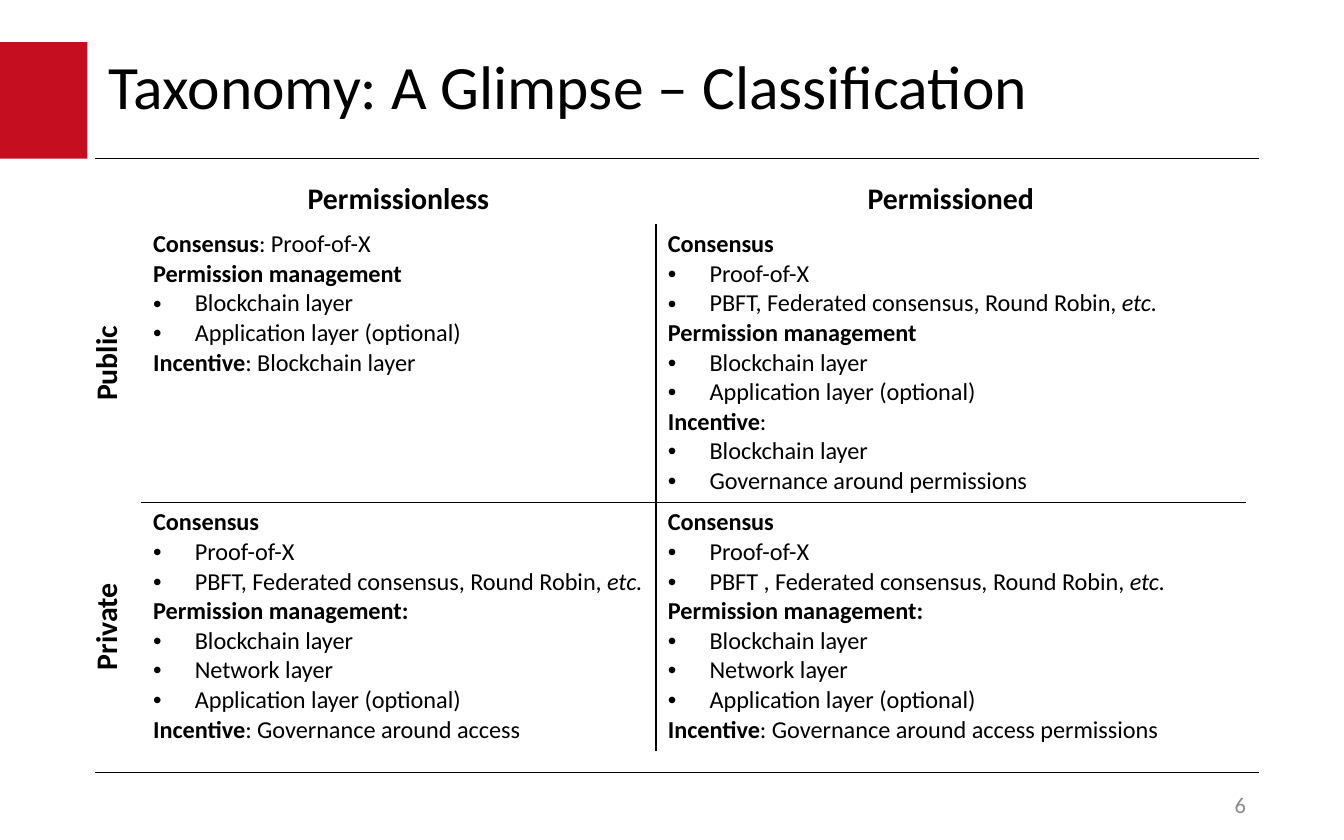
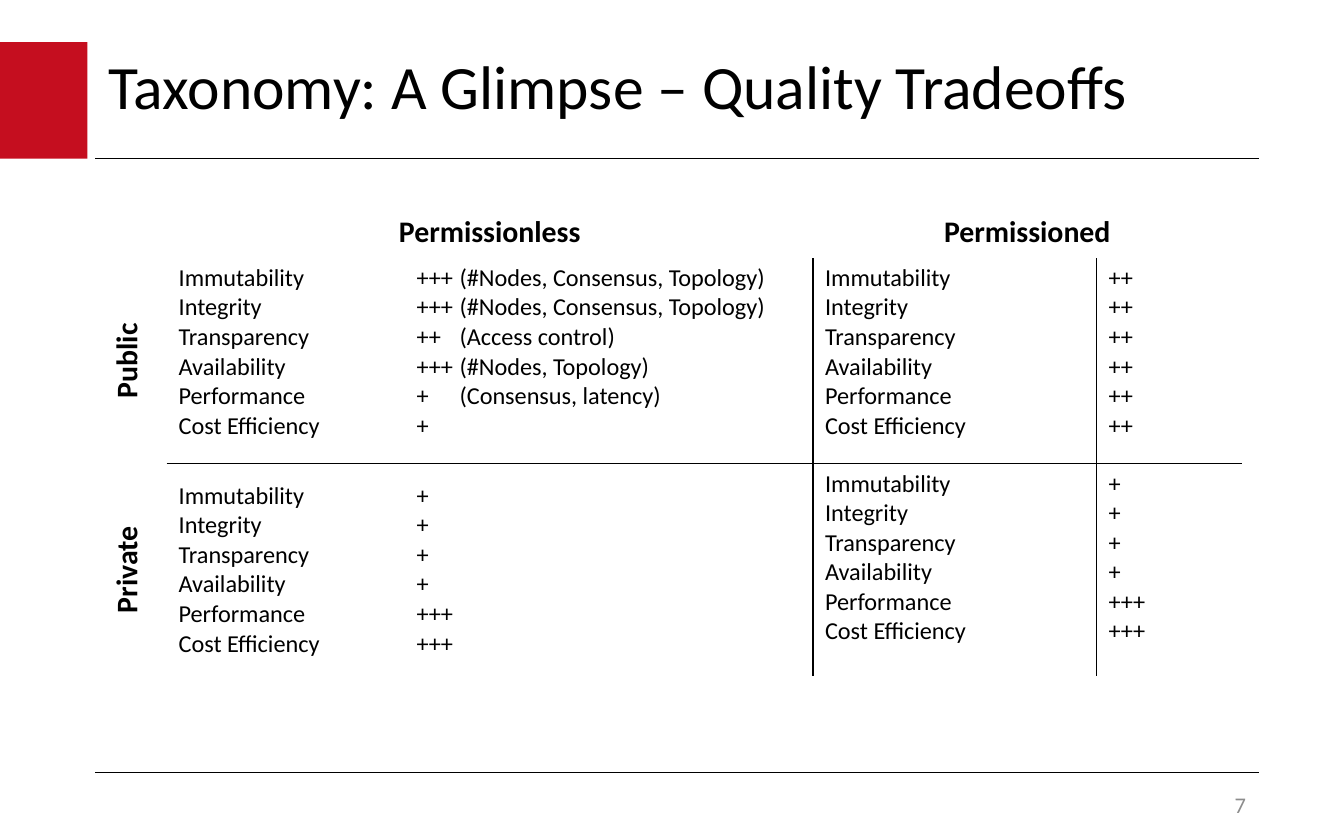
from lxml.etree import SubElement
from pptx import Presentation
from pptx.dml.color import RGBColor
from pptx.enum.shapes import MSO_CONNECTOR as Connector, MSO_SHAPE as Shape
from pptx.enum.text import MSO_ANCHOR as Anchor, PP_ALIGN as Align
from pptx.oxml.ns import qn
from pptx.util import Inches, Pt

WIDTH, HEIGHT = 10, 6.25
FONT = "Calibri"
COLORS = {"accent": "C50E1F", "ink": "000000", "page_number": "8C8C8C"}
TITLE_SIZE, HEADER_SIZE, BODY_SIZE, NUMBER_SIZE = 33, 16, 13, 12
LEFT, RIGHT = 7.1, 93.7         # content edges, percent of the width
TOP, TITLE_RULE, FOOTER_RULE = 5, 18.88, 92     # percent of the height
INDENT, SCORE_TAB = 3.1, 3.2    # percent of the width

HEADERS = ("Permissionless", "Permissioned")
ACCESS = ("Public", "Private")
QUALITIES = ("Immutability", "Integrity", "Transparency",
             "Availability", "Performance", "Cost Efficiency")


# Lengths as percentages of the slide
def across(percent):
    return Inches(WIDTH * percent / 100)


def down(percent):
    return Inches(HEIGHT * percent / 100)


def color(name):
    return RGBColor.from_string(COLORS[name])


# Text
def add_span(para, text, size, ink="ink", bold=False, italic=False):
    span = para.add_run()
    span.text = text
    font = span.font
    font.name, font.size, font.bold, font.italic = FONT, Pt(size), bold, italic
    font.color.rgb = color(ink)


def add_label(page, text, area, size, ink="ink", align=Align.LEFT):
    left, top, width, height = area
    box = page.shapes.add_textbox(across(left), down(top), across(width), down(height))
    frame = box.text_frame
    frame.word_wrap = True
    frame.vertical_anchor = Anchor.MIDDLE
    para = frame.paragraphs[0]
    para.alignment = align
    para.line_spacing = 0.9
    add_span(para, text, size, ink)


def make_bullet(para):
    props = para._p.get_or_add_pPr()
    props.set("marL", str(across(INDENT)))
    props.set("indent", str(-across(INDENT)))
    SubElement(props, qn("a:buFont"), typeface="Arial")
    SubElement(props, qn("a:buChar"), char="•")


def add_tab_stop(para):
    tabs = SubElement(para._p.get_or_add_pPr(), qn("a:tabLst"))
    SubElement(tabs, qn("a:tab"), pos=str(across(SCORE_TAB)), algn="l")


# Frame shared by the slides
def add_rule(page, height):
    rule = page.shapes.add_connector(Connector.STRAIGHT, across(LEFT), down(height),
                                     across(RIGHT), down(height))
    rule.line.color.rgb = color("ink")
    rule.line.width = Pt(0.75)
    SubElement(rule._element.spPr, qn("a:effectLst"))


def add_page(deck, title, number):
    page = deck.slides.add_slide(deck.slide_layouts[6])
    band = page.shapes.add_shape(Shape.RECTANGLE, 0, down(TOP), across(6.5),
                                 down(TITLE_RULE - TOP))
    band.shadow.inherit = False
    band.fill.solid()
    band.fill.fore_color.rgb = color("accent")
    band.line.fill.background()
    for height in (TITLE_RULE, FOOTER_RULE):
        add_rule(page, height)
    add_label(page, title, (LEFT, TOP, RIGHT - LEFT, 11.36), TITLE_SIZE)
    add_label(page, str(number), (73.4, 93.92, RIGHT - 73.4, 4), NUMBER_SIZE,
              "page_number", Align.RIGHT)
    return page


# Matrix tables
def draw_edge(cell, side, visible):
    props = cell._tc.get_or_add_tcPr()
    edge = SubElement(props, qn("a:ln" + side), w=str(Pt(1)))
    if visible:
        fill = SubElement(edge, qn("a:solidFill"))
        SubElement(fill, qn("a:srgbClr"), val=COLORS["ink"])
    else:
        SubElement(edge, qn("a:noFill"))


def add_matrix(page, left, top, columns, rows, dividers):
    """Empty table, with vertical rules after the columns in dividers
    and one horizontal rule between the two body rows."""
    table = page.shapes.add_table(len(rows), len(columns), across(left), down(top),
                                  across(sum(columns)), down(sum(rows))).table
    table.first_row = table.horz_banding = False
    for column, width in zip(table.columns, columns):
        column.width = across(width)
    for row, height in zip(table.rows, rows):
        row.height = down(height)
    for r in range(len(rows)):
        for c in range(len(columns)):
            cell = table.cell(r, c)
            cell.margin_left = cell.margin_right = Inches(0.09)
            cell.margin_top = cell.margin_bottom = Inches(0.04)
            draw_edge(cell, "L", r > 0 and c - 1 in dividers)
            draw_edge(cell, "R", r > 0 and c in dividers)
            draw_edge(cell, "T", r == 2 and c > 0)
            draw_edge(cell, "B", r == 1 and c > 0)
            cell.fill.background()
            if r == 0:
                SubElement(cell.text_frame.paragraphs[0]._p, qn("a:endParaRPr"),
                           sz=str(HEADER_SIZE * 100))
    return table


def write_header(cell, text, upright=False):
    para = cell.text_frame.paragraphs[0]
    para.alignment = Align.CENTER
    add_span(para, text, HEADER_SIZE, bold=True)
    if upright:
        cell._tc.get_or_add_tcPr().set("vert", "vert270")


def write_row_headers(table):
    for r, access in enumerate(ACCESS, 1):
        write_header(table.cell(r, 0), access, upright=True)


def cell_paragraphs(cell, count):
    frame = cell.text_frame
    for _ in range(count - 1):
        frame.add_paragraph()
    return frame.paragraphs


def write_topics(cell, topics):
    """Each topic is a bold label, the plain text after it and its bullets."""
    lines = []
    for label, plain, points in topics:
        lines.append((False, label, plain))
        lines += [(True, *point) for point in points]
    for para, (bulleted, first, second) in zip(cell_paragraphs(cell, len(lines)), lines):
        if bulleted:
            make_bullet(para)
        add_span(para, first, BODY_SIZE, bold=not bulleted)
        if second:
            add_span(para, second, BODY_SIZE, italic=bulleted)


def write_lines(cell, lines):
    for para, line in zip(cell_paragraphs(cell, len(lines)), lines):
        if "\t" in line:
            add_tab_stop(para)
        add_span(para, line, BODY_SIZE)


# Content of the classification
def layers(*names):
    return [(name, "") for name in names]


CHAIN, NETWORK = "Blockchain layer", "Network layer"
APPLICATION = "Application layer (optional)"
PROTOCOLS = "PBFT, Federated consensus, Round Robin, "


def consensus(protocols=PROTOCOLS):
    return "Consensus", "", [("Proof-of-X", ""), (protocols, "etc.")]


PUBLIC_MANAGEMENT = ("Permission management", "", layers(CHAIN, APPLICATION))
PRIVATE_MANAGEMENT = ("Permission management:", "", layers(CHAIN, NETWORK, APPLICATION))
CLASSIFICATION = (
    ([("Consensus", ": Proof-of-X", []), PUBLIC_MANAGEMENT,
      ("Incentive", ": " + CHAIN, [])],
     [consensus(), PUBLIC_MANAGEMENT,
      ("Incentive", ":", layers(CHAIN, "Governance around permissions"))]),
    ([consensus(), PRIVATE_MANAGEMENT,
      ("Incentive", ": Governance around access", [])],
     [consensus("PBFT , Federated consensus, Round Robin, "), PRIVATE_MANAGEMENT,
      ("Incentive", ": Governance around access permissions", [])]),
)

# Content of the tradeoffs
PRIVATE_SCORES = ("+", "+", "+", "+", "+++", "+++")
SCORES = (
    (("+++\t(#Nodes, Consensus, Topology)", "+++\t(#Nodes, Consensus, Topology)",
      "++\t(Access control)", "+++\t(#Nodes, Topology)",
      "+\t(Consensus, latency)", "+"),
     ("++",) * len(QUALITIES)),
    (PRIVATE_SCORES, PRIVATE_SCORES),
)


def add_classification(deck):
    page = add_page(deck, "Taxonomy: A Glimpse – Classification", 6)
    table = add_matrix(page, 6.2, 20.96, (4.3, 38.3, 43.9), (5.76, 33.12, 29.6), {1})
    write_row_headers(table)
    for c, header in enumerate(HEADERS, 1):
        write_header(table.cell(0, c), header)
        for r, row in enumerate(CLASSIFICATION, 1):
            write_topics(table.cell(r, c), row[c - 1])


def add_tradeoffs(deck):
    page = add_page(deck, "Taxonomy: A Glimpse – Quality Tradeoffs", 7)
    table = add_matrix(page, 7.7, 24.8, (4.7, 17.7, 30.4, 21.1, 10.8),
                       (5.92, 24.48, 25.28), {2, 3})
    write_row_headers(table)
    for group, header in enumerate(HEADERS):
        c = 1 + 2 * group
        table.cell(0, c).merge(table.cell(0, c + 1))
        write_header(table.cell(0, c), header)
        for r, row in enumerate(SCORES, 1):
            write_lines(table.cell(r, c), QUALITIES)
            write_lines(table.cell(r, c + 1), row[group])
    for c in (1, 2):
        table.cell(2, c).vertical_anchor = Anchor.MIDDLE


def main():
    deck = Presentation()
    deck.slide_width, deck.slide_height = Inches(WIDTH), Inches(HEIGHT)
    add_classification(deck)
    add_tradeoffs(deck)
    deck.save("out.pptx")


if __name__ == "__main__":
    main()
